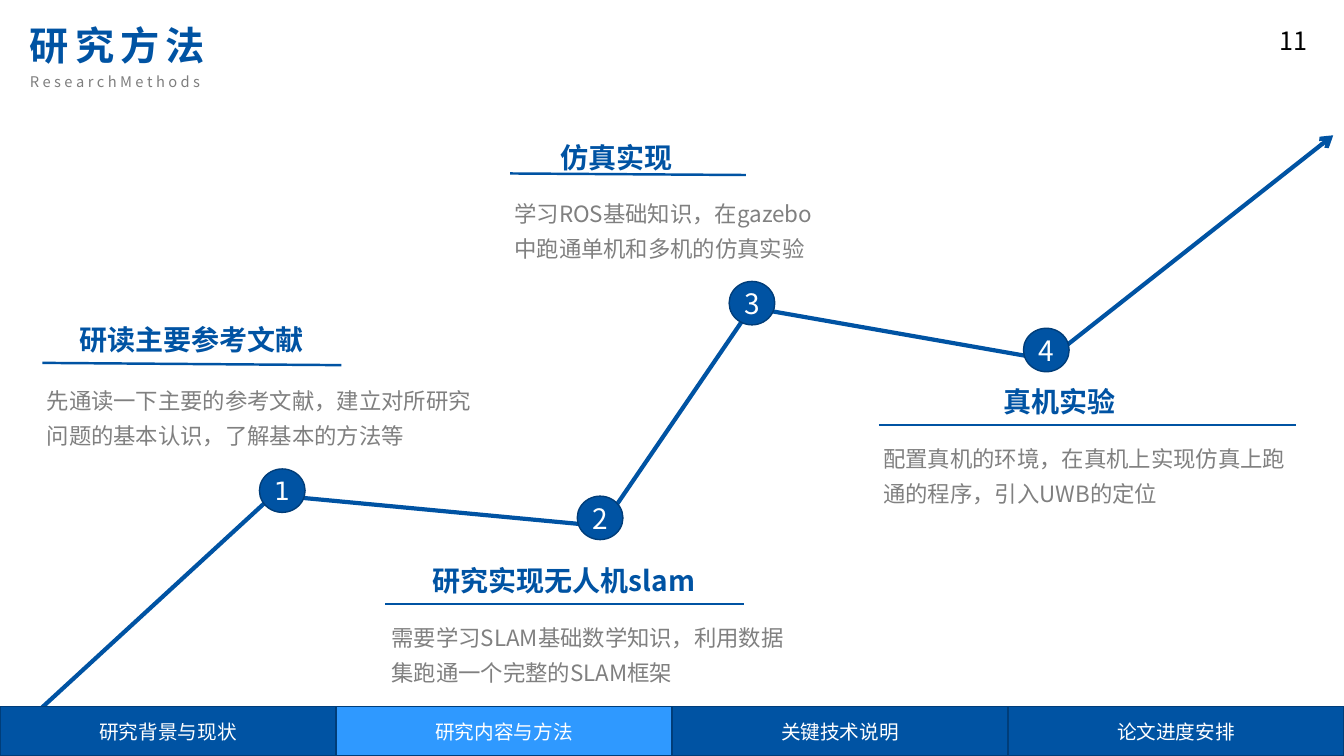
"""Build the research methods slide: a rising route with four numbered stages."""
from dataclasses import dataclass

from lxml import etree
from pptx import Presentation
from pptx.dml.color import RGBColor
from pptx.enum.shapes import MSO_CONNECTOR, MSO_SHAPE
from pptx.enum.text import MSO_ANCHOR, PP_ALIGN
from pptx.oxml.ns import qn
from pptx.util import Emu, Inches, Pt

BLUE = RGBColor(0x00, 0x53, 0xA3)
NAVY = RGBColor(0x00, 0x3D, 0x79)
SKY = RGBColor(0x2F, 0x99, 0xFF)
GREY = RGBColor(0x80, 0x80, 0x80)
ASH = RGBColor(0x7E, 0x7E, 0x7E)
WHITE = RGBColor(0xFF, 0xFF, 0xFF)
BLACK = RGBColor(0x00, 0x00, 0x00)

LINE = MSO_CONNECTOR.STRAIGHT
OVAL = MSO_SHAPE.OVAL
RECT = MSO_SHAPE.RECTANGLE
TOP = MSO_ANCHOR.TOP
MIDDLE = MSO_ANCHOR.MIDDLE
LEFT = PP_ALIGN.LEFT
CENTER = PP_ALIGN.CENTER

NOTO = "Noto Sans CJK SC"
DEJAVU = "DejaVu Sans"
WIDE = Inches(13.33)
HIGH = Inches(7.5)
INSET = Inches(0.01)


@dataclass(frozen=True)
class Style:
    """Look of a paragraph; sizes and gaps in points."""
    size: float
    color: RGBColor
    bold: bool = False
    face: str = NOTO
    track: float = 0
    pitch: float = 1.0
    align: PP_ALIGN = LEFT


@dataclass(frozen=True)
class Para:
    """A paragraph; its indent is a percentage of the slide's width."""
    text: str
    style: Style
    indent: float = 0
    before: float = 0


@dataclass(frozen=True)
class Box:
    """A text box placed in percentages of the slide."""
    x: float
    y: float
    w: float
    h: float
    paras: tuple[Para, ...]


@dataclass(frozen=True)
class Node:
    """A numbered stop on the route, placed by its centre."""
    x: float
    y: float
    label: str
    style: Style


@dataclass(frozen=True)
class Rule:
    """A line under a stage heading."""
    x1: float
    y1: float
    x2: float
    y2: float


@dataclass(frozen=True)
class Tab:
    """A section in the bottom bar."""
    label: str
    fill: RGBColor = BLUE


TITLE = Style(28, BLUE, True, track=4.3)
SUB = Style(10.5, ASH, track=0.08, pitch=0.85)
HEAD = Style(20, BLUE, True)
BODY = Style(16, GREY, pitch=1.3)
PAGE = Style(18, BLACK)
DIGIT = Style(20, WHITE, align=CENTER)
FIRST = Style(18, WHITE, face=DEJAVU, align=CENTER)
MENU = Style(14, WHITE, align=CENTER)

NODE_W, NODE_H = 3.4, 5.75
BAR_Y, BAR_H = 93.47, 6.53

ROUTE = [(0, 98.7), (20.33, 65.5), (44.8, 69.6),
         (55.9, 40.7), (78, 47.6), (99.2, 17.9)]
NODES = [Node(21, 64.9, "1", FIRST), Node(44.65, 68.5, "2", DIGIT),
         Node(55.95, 40.1, "3", DIGIT), Node(77.85, 46.3, "4", DIGIT)]
RULES = [Rule(3.15, 48, 25.4, 48.3), Rule(28.65, 79.9, 55.35, 79.9),
         Rule(37.95, 22.95, 55.5, 23.15), Rule(65.4, 56.25, 96.45, 56.25)]
TABS = [Tab("研究背景与现状"), Tab("研究内容与方法", SKY),
        Tab("关键技术说明"), Tab("论文进度安排")]
BOXES = [
    Box(2.15, 2.75, 16, 10, (
        Para("研究方法", TITLE), Para("R e s e a r c h M e t h o d s", SUB, before=5))),
    Box(5.85, 42.5, 17, 4.8, (Para("研读主要参考文献", HEAD),)),
    Box(3.4, 50, 31.9, 9.1, (
        Para("先通读一下主要的参考文献，建立对所研究问题的基本认识，了解基本的方法等", BODY),)),
    Box(29.05, 74.4, 30.4, 16.1, (
        Para("研究实现无人机slam", HEAD, 3.05),
        Para("需要学习SLAM基础数学知识，利用数据集跑通一个完整的SLAM框架", BODY, before=13.6))),
    Box(38.2, 18.4, 22.9, 16, (
        Para("仿真实现", HEAD, 3.4),
        Para("学习ROS基础知识，在gazebo中跑通单机和多机的仿真实验", BODY, before=13.1))),
    Box(71.3, 50.7, 19, 4.8, (Para("真机实验", HEAD, 3.3),)),
    Box(65.65, 57.7, 30.8, 9.1, (
        Para("配置真机的环境，在真机上实现仿真上跑通的程序，引入UWB的定位", BODY),)),
    Box(95.1, 3.2, 3.2, 4.8, (Para("11", PAGE),)),
]


def across(share: float) -> Emu:
    """Turn a percentage of the width into a length."""
    return Emu(round(WIDE * share / 100))


def down(share: float) -> Emu:
    """Turn a percentage of the height into a length."""
    return Emu(round(HIGH * share / 100))


def assign(target: object, values: dict[str, object]) -> None:
    """Set each named attribute."""
    for name, value in values.items():
        setattr(target, name, value)


def write(frame, paras: tuple[Para, ...], anchor: MSO_ANCHOR, inset: int = 0) -> None:
    """Fill a text frame with styled paragraphs."""
    assign(frame, {"word_wrap": True, "vertical_anchor": anchor,
                   "margin_left": inset, "margin_right": 0,
                   "margin_top": inset, "margin_bottom": 0})
    for index, item in enumerate(paras):
        look = item.style
        para = frame.add_paragraph() if index else frame.paragraphs[0]
        assign(para, {"alignment": look.align, "line_spacing": look.pitch})
        if index:
            para.space_before = Pt(item.before)
        para._p.get_or_add_pPr().set("marL", str(across(item.indent)))
        run = para.add_run()
        run.text = item.text
        run.font.color.rgb = look.color
        assign(run.font, {"name": look.face, "size": Pt(look.size), "bold": look.bold})
        props = run._r.get_or_add_rPr()
        props.set("spc", str(round(look.track * 100)))
        etree.SubElement(props, qn("a:ea"), typeface=look.face)


def trace(slide, stops: list[tuple[float, float]]) -> None:
    """Draw the route as one open outline ending in an arrowhead."""
    spots = [(across(x), down(y)) for x, y in stops]
    pen = slide.shapes.build_freeform(*spots[0])
    pen.add_line_segments(spots[1:], close=False)
    path = pen.convert_to_shape()
    path.shadow.inherit = False
    path.fill.background()
    path.line.color.rgb = BLUE
    path.line.width = Pt(3)
    etree.SubElement(path.line._get_or_add_ln(), qn("a:tailEnd"),
                     type="arrow", w="med", len="med")


def stroke(slide, rule: Rule) -> None:
    """Draw the line under a heading."""
    line = slide.shapes.add_connector(
        LINE, across(rule.x1), down(rule.y1), across(rule.x2), down(rule.y2))
    line.line.color.rgb = BLUE
    line.line.width = Pt(1.75)
    etree.SubElement(line._element.spPr, qn("a:effectLst"))


def block(slide, kind: MSO_SHAPE, box: Box, fill: RGBColor) -> None:
    """Draw a filled shape with centred text."""
    shape = slide.shapes.add_shape(
        kind, across(box.x), down(box.y), across(box.w), down(box.h))
    shape.shadow.inherit = False
    shape.fill.solid()
    shape.fill.fore_color.rgb = fill
    shape.line.color.rgb = NAVY
    shape.line.width = Pt(1)
    write(shape.text_frame, box.paras, MIDDLE)


def main() -> None:
    """Draw the slide and save it."""
    deck = Presentation()
    assign(deck, {"slide_width": WIDE, "slide_height": HIGH})
    slide = deck.slides.add_slide(deck.slide_layouts[6])
    trace(slide, ROUTE)
    for node in NODES:
        block(slide, OVAL, Box(node.x - NODE_W / 2, node.y - NODE_H / 2, NODE_W, NODE_H,
                               (Para(node.label, node.style),)), BLUE)
    for rule in RULES:
        stroke(slide, rule)
    for box in BOXES:
        text = slide.shapes.add_textbox(
            across(box.x), down(box.y), across(box.w), down(box.h))
        write(text.text_frame, box.paras, TOP, INSET)
    step = 100 / len(TABS)
    for index, tab in enumerate(TABS):
        block(slide, RECT, Box(index * step, BAR_Y, step, BAR_H,
                               (Para(tab.label, MENU),)), tab.fill)
    deck.save("out.pptx")


if __name__ == "__main__":
    main()
